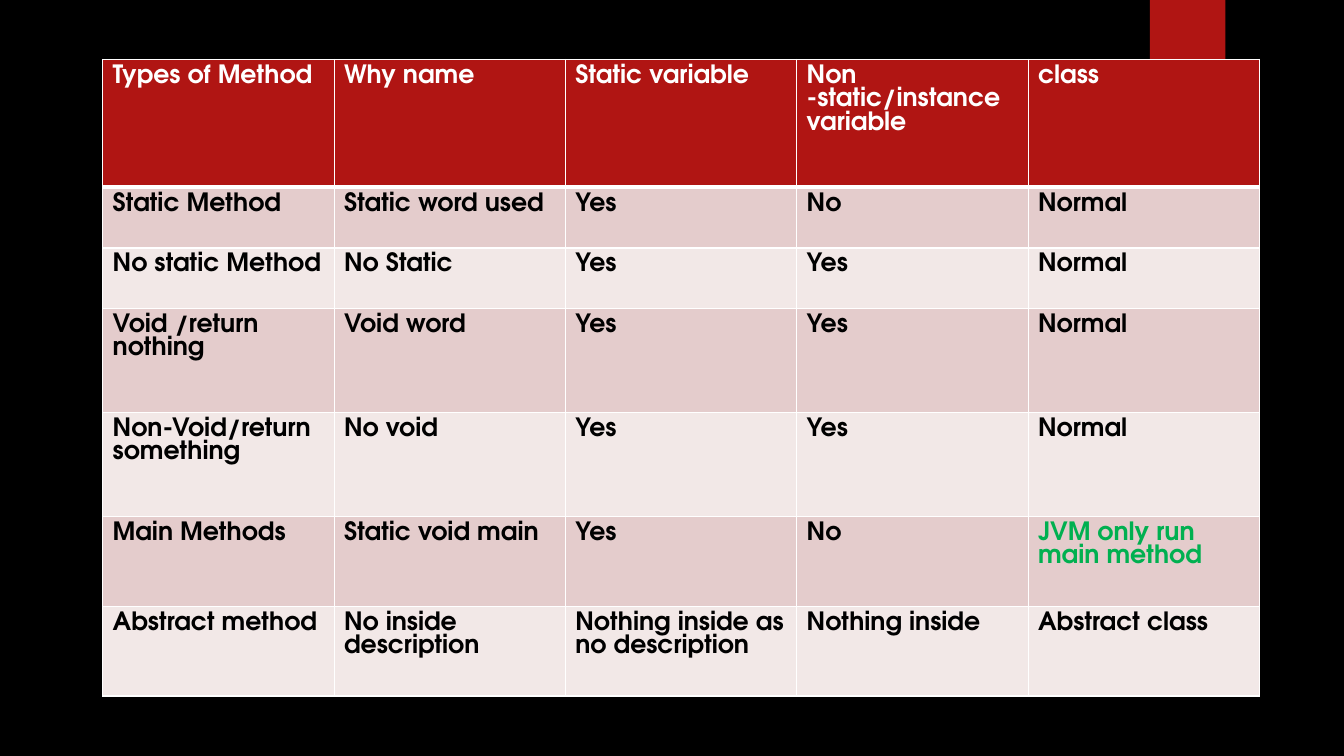
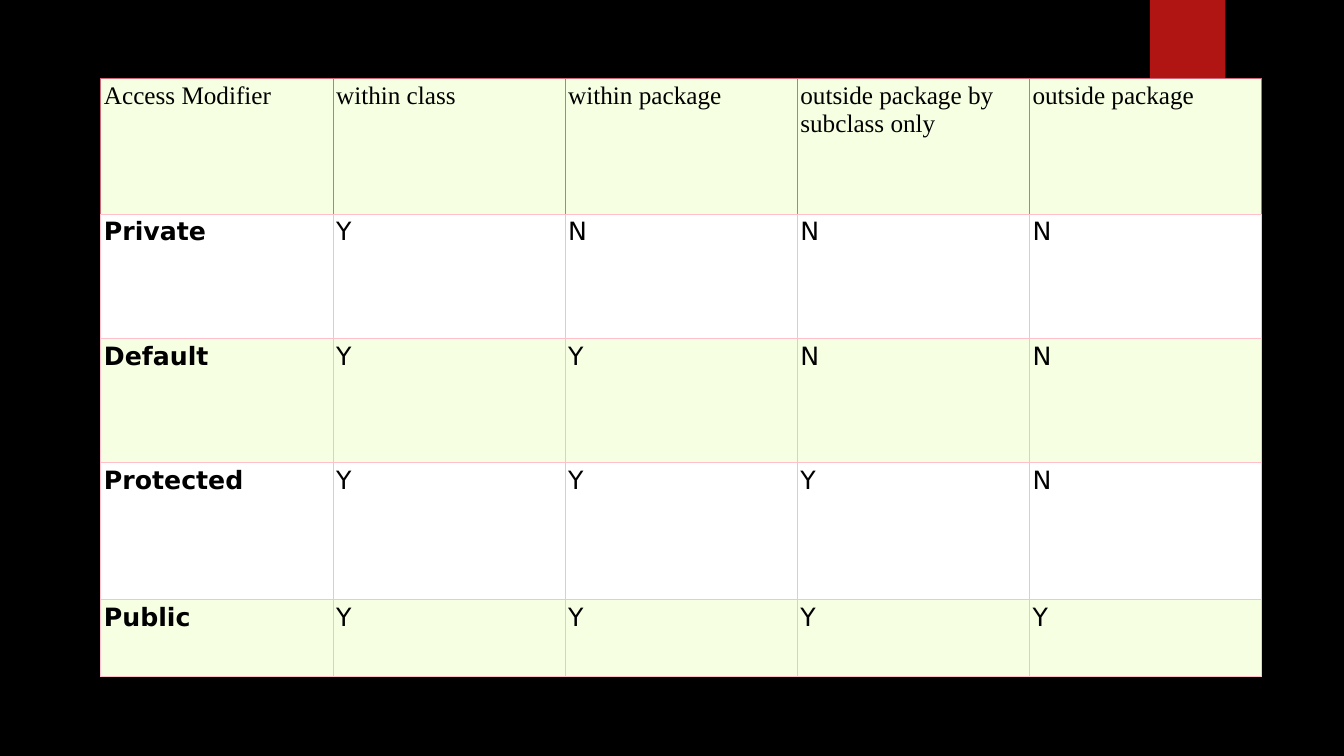
"""Build two dark slides that compare Java method types and access modifiers."""
from dataclasses import dataclass

import lxml.etree
import pptx
import pptx.dml.color
import pptx.enum.shapes
import pptx.enum.text
import pptx.oxml.ns
import pptx.presentation
import pptx.slide
import pptx.table
import pptx.util

Cm = pptx.util.Cm
Color = pptx.dml.color.RGBColor
Align = pptx.enum.text.PP_ALIGN

BLACK = Color(0x00, 0x00, 0x00)
WHITE = Color(0xFF, 0xFF, 0xFF)
RED = Color(0xB0, 0x15, 0x13)
ROSE = Color(0xE4, 0xCC, 0xCC)
PALE_ROSE = Color(0xF2, 0xE8, 0xE7)
GREEN = Color(0x00, 0xB0, 0x50)
LIME = Color(0xF6, 0xFF, 0xE1)
PINK = Color(0xFF, 0xC0, 0xCB)
DARK_PINK = Color(0xD0, 0x68, 0x77)
GRAY = Color(0x8F, 0x94, 0x80)
LIGHT_GRAY = Color(0xD3, 0xD3, 0xC8)
FONT_SIZE = pptx.util.Pt(18)


@dataclass(frozen=True)
class Line:
    color: Color
    points: float


@dataclass(frozen=True)
class RowStyle:
    font: str
    color: Color
    align: Align
    bold_first: bool
    bold_others: bool
    outer: Line
    inner: Line


@dataclass(frozen=True)
class Grid:
    left: float
    top: float
    column_width: float
    heights: list[float]
    rows: list[list[str]]
    header: RowStyle
    body: RowStyle
    header_fill: Color
    band_fills: tuple[Color, Color]
    top_line: Line
    header_line: Line
    row_line: Line
    margins: tuple[float, float]
    accents: dict[str, Color]


THIN_WHITE = Line(WHITE, 1)
THIN_PINK = Line(PINK, 0.5)
THIN_DARK_PINK = Line(DARK_PINK, 0.5)

METHODS = Grid(
    left=2.59, top=1.5, column_width=5.83,
    heights=[3.22, 1.53, 1.53, 2.62, 2.62, 2.26, 2.26],
    rows=[
        ["Types of Method", "Why name", "Static variable",
         "Non -static/instance variable", "class"],
        ["Static Method", "Static word used", "Yes", "No", "Normal"],
        ["No static Method", "No Static", "Yes", "Yes", "Normal"],
        ["Void /return nothing", "Void word", "Yes", "Yes", "Normal"],
        ["Non-Void/return something", "No void", "Yes", "Yes", "Normal"],
        ["Main Methods", "Static void main", "Yes", "No",
         "JVM only run main method"],
        ["Abstract method", "No inside description",
         "Nothing inside as no description", "Nothing inside",
         "Abstract class"],
    ],
    header=RowStyle("TeX Gyre Adventor", WHITE, Align.LEFT, True, True,
                    THIN_WHITE, THIN_WHITE),
    body=RowStyle("TeX Gyre Adventor", BLACK, Align.LEFT, True, True,
                  THIN_WHITE, THIN_WHITE),
    header_fill=RED, band_fills=(ROSE, PALE_ROSE),
    top_line=THIN_WHITE, header_line=Line(WHITE, 3), row_line=THIN_WHITE,
    margins=(0.25, 0.13),
    accents={"JVM only run main method": GREEN},
)

MODIFIERS = Grid(
    left=2.54, top=1.98, column_width=5.85,
    heights=[3.42, 3.13, 3.13, 3.45, 1.92],
    rows=[
        ["Access Modifier", "within class", "within package",
         "outside package by subclass only", "outside package"],
        ["Private", "Y", "N", "N", "N"],
        ["Default", "Y", "Y", "N", "N"],
        ["Protected", "Y", "Y", "Y", "N"],
        ["Public", "Y", "Y", "Y", "Y"],
    ],
    header=RowStyle("Times New Roman", BLACK, Align.LEFT, False, False,
                    THIN_DARK_PINK, Line(GRAY, 0.5)),
    body=RowStyle("DejaVu Sans", BLACK, Align.JUSTIFY, True, False,
                  THIN_PINK, Line(LIGHT_GRAY, 0.5)),
    header_fill=LIME, band_fills=(WHITE, LIME),
    top_line=THIN_DARK_PINK, header_line=THIN_PINK, row_line=THIN_PINK,
    margins=(0.08, 0.08),
    accents={},
)


def draw_border(cell: pptx.table._Cell, side: str, line: Line) -> None:
    properties = cell._tc.get_or_add_tcPr()
    qualified = pptx.oxml.ns.qn
    border = lxml.etree.SubElement(properties, qualified(f"a:ln{side}"),
                                   w=str(int(pptx.util.Pt(line.points))))
    fill = lxml.etree.SubElement(border, qualified("a:solidFill"))
    lxml.etree.SubElement(fill, qualified("a:srgbClr"), val=str(line.color))


def draw_cell(cell: pptx.table._Cell, grid: Grid, row: int, column: int) -> None:
    style = grid.body if row else grid.header
    last_column = len(grid.rows[0]) - 1
    horizontal = [grid.top_line, grid.header_line]
    horizontal += [grid.row_line] * (len(grid.rows) - 1)
    draw_border(cell, "L", style.inner if column else style.outer)
    draw_border(cell, "R", style.inner if column < last_column else style.outer)
    draw_border(cell, "T", horizontal[row])
    draw_border(cell, "B", horizontal[row + 1])

    cell.fill.solid()
    cell.fill.fore_color.rgb = (
        grid.band_fills[(row - 1) % 2] if row else grid.header_fill)
    side_margin, end_margin = grid.margins
    cell.margin_left = cell.margin_right = Cm(side_margin)
    cell.margin_top = cell.margin_bottom = Cm(end_margin)

    text = grid.rows[row][column]
    cell.text = text
    para = cell.text_frame.paragraphs[0]
    para.alignment = style.align
    para.font.name = style.font
    para.font.size = FONT_SIZE
    para.font.bold = style.bold_others if column else style.bold_first
    para.font.color.rgb = grid.accents.get(text, style.color)


def draw_grid(page: pptx.slide.Slide, grid: Grid) -> None:
    columns = len(grid.rows[0])
    frame = page.shapes.add_table(
        len(grid.rows), columns, Cm(grid.left), Cm(grid.top),
        Cm(grid.column_width * columns), Cm(sum(grid.heights)))
    table = frame.table
    for table_column in table.columns:
        table_column.width = Cm(grid.column_width)
    for row, height in enumerate(grid.heights):
        table.rows[row].height = Cm(height)
        for column in range(columns):
            draw_cell(table.cell(row, column), grid, row, column)


def draw_ribbon(page: pptx.slide.Slide) -> None:
    ribbon = page.shapes.add_shape(
        pptx.enum.shapes.MSO_SHAPE.RECTANGLE,
        Cm(28.98), Cm(0), Cm(1.9), Cm(3.18))
    ribbon.shadow.inherit = False
    ribbon.fill.solid()
    ribbon.fill.fore_color.rgb = RED
    ribbon.line.fill.background()


def add_page(deck: pptx.presentation.Presentation, grid: Grid) -> None:
    page = deck.slides.add_slide(deck.slide_layouts[6])
    draw_ribbon(page)
    draw_grid(page, grid)


def main() -> None:
    deck = pptx.Presentation()
    deck.slide_width, deck.slide_height = Cm(33.87), Cm(19.05)
    background = deck.slide_master.background.fill
    background.solid()
    background.fore_color.rgb = BLACK
    for grid in (METHODS, MODIFIERS):
        add_page(deck, grid)
    deck.save("out.pptx")


main()
